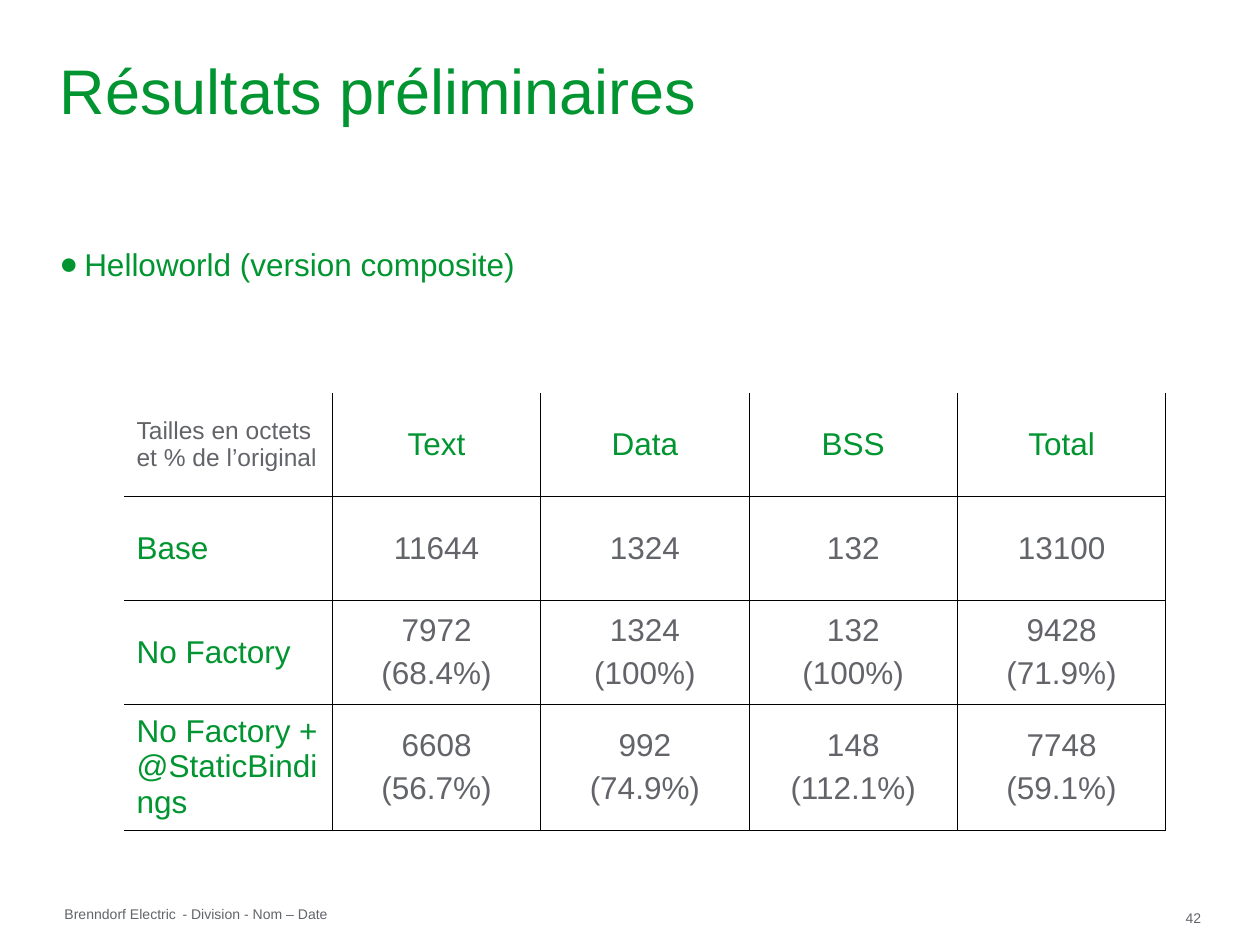
"""Build the slide of preliminary memory-size results."""
from lxml.etree import SubElement
from pptx import Presentation
from pptx.dml.color import RGBColor
from pptx.enum.text import MSO_ANCHOR, PP_ALIGN
from pptx.oxml.ns import qn
from pptx.util import Cm, Pt

COLORS = {"green": "009530", "gray": "626469", "border": "000000"}
HEADERS = ["Tailles en octets et % de l’original", "Text", "Data", "BSS", "Total"]
ROWS = [
    ["Base", "11644", "1324", "132", "13100"],
    ["No Factory", "7972\n(68.4%)", "1324\n(100%)", "132\n(100%)", "9428\n(71.9%)"],
    ["No Factory + @StaticBindings", "6608\n(56.7%)", "992\n(74.9%)", "148\n(112.1%)", "7748\n(59.1%)"],
]
ROW_HEIGHTS = [2.09, 2.09, 2.09, 2.54]
FOOTERS = [
    ("Brenndorf Electric", 1.3, 18.26, 2.3),
    ("- Division - Nom – Date", 3.68, 18.26, 3.02),
    ("42", 23.9, 18.34, 0.81),
]


def format_text(text_frame, size, color, align=PP_ALIGN.LEFT):
    for index, paragraph in enumerate(text_frame.paragraphs):
        paragraph.alignment = align
        if index:
            paragraph.space_before = Pt(4.5)
        for run in paragraph.runs:
            run.font.name = "Arial"
            run.font.size = Pt(size)
            run.font.color.rgb = RGBColor.from_string(COLORS[color])


def set_frame(text_frame, anchor=MSO_ANCHOR.TOP, wrap=True):
    text_frame.margin_left = text_frame.margin_right = 0
    text_frame.margin_top = text_frame.margin_bottom = 0
    text_frame.vertical_anchor = anchor
    text_frame.word_wrap = wrap


presentation = Presentation()
presentation.slide_width = Cm(25.4)
presentation.slide_height = Cm(19.05)
slide = presentation.slides.add_slide(presentation.slide_layouts[5])

title = slide.shapes.title
title.left, title.top, title.width, title.height = Cm(1.2), Cm(0.2), Cm(23), Cm(3.2)
title.text_frame.text = "Résultats préliminaires"
set_frame(title.text_frame, MSO_ANCHOR.MIDDLE)
format_text(title.text_frame, 36, "green")

subject = slide.shapes.add_textbox(Cm(1.2), Cm(4.93), Cm(23), Cm(1))
subject.text_frame.text = "Helloworld (version composite)"
set_frame(subject.text_frame)
properties = subject.text_frame.paragraphs[0]._p.get_or_add_pPr()
properties.set("marL", str(Cm(0.5)))
properties.set("indent", str(-Cm(0.5)))
bullet_color = SubElement(properties, qn("a:buClr"))
SubElement(bullet_color, qn("a:srgbClr"), val=COLORS["green"])
SubElement(properties, qn("a:buFont"), typeface="Arial")
SubElement(properties, qn("a:buChar"), char="●")
format_text(subject.text_frame, 18, "green")

data = [HEADERS] + ROWS
frame = slide.shapes.add_table(
    len(data), len(HEADERS), Cm(2.5), Cm(7.92), Cm(21), Cm(sum(ROW_HEIGHTS))
)
table = frame.table
table.first_row = False
table.horz_banding = False
for column in table.columns:
    column.width = Cm(4.2)
for row_index, (values, height) in enumerate(zip(data, ROW_HEIGHTS)):
    table.rows[row_index].height = Cm(height)
    for column_index, value in enumerate(values):
        cell = table.cell(row_index, column_index)
        cell.text_frame.text = value
        cell.vertical_anchor = MSO_ANCHOR.MIDDLE
        is_corner = row_index == 0 and column_index == 0
        is_label = (row_index == 0 or column_index == 0) and not is_corner
        format_text(
            cell.text_frame,
            14 if is_corner else 18,
            "green" if is_label else "gray",
            PP_ALIGN.CENTER if column_index else PP_ALIGN.LEFT,
        )
        sides = {"a:lnL": column_index > 0, "a:lnR": True, "a:lnT": row_index > 0, "a:lnB": True}
        cell_properties = cell._tc.get_or_add_tcPr()
        for side, visible in sides.items():
            line = SubElement(cell_properties, qn(side), w=str(Pt(0.45)))
            if visible:
                line_fill = SubElement(line, qn("a:solidFill"))
                SubElement(line_fill, qn("a:srgbClr"), val=COLORS["border"])
            else:
                SubElement(line, qn("a:noFill"))
        cell.fill.background()

for text, left, top, width in FOOTERS:
    footer = slide.shapes.add_textbox(Cm(left), Cm(top), Cm(width), Cm(0.33))
    footer.text_frame.text = text
    set_frame(footer.text_frame, wrap=False)
    format_text(footer.text_frame, 8, "gray")

presentation.save("out.pptx")
